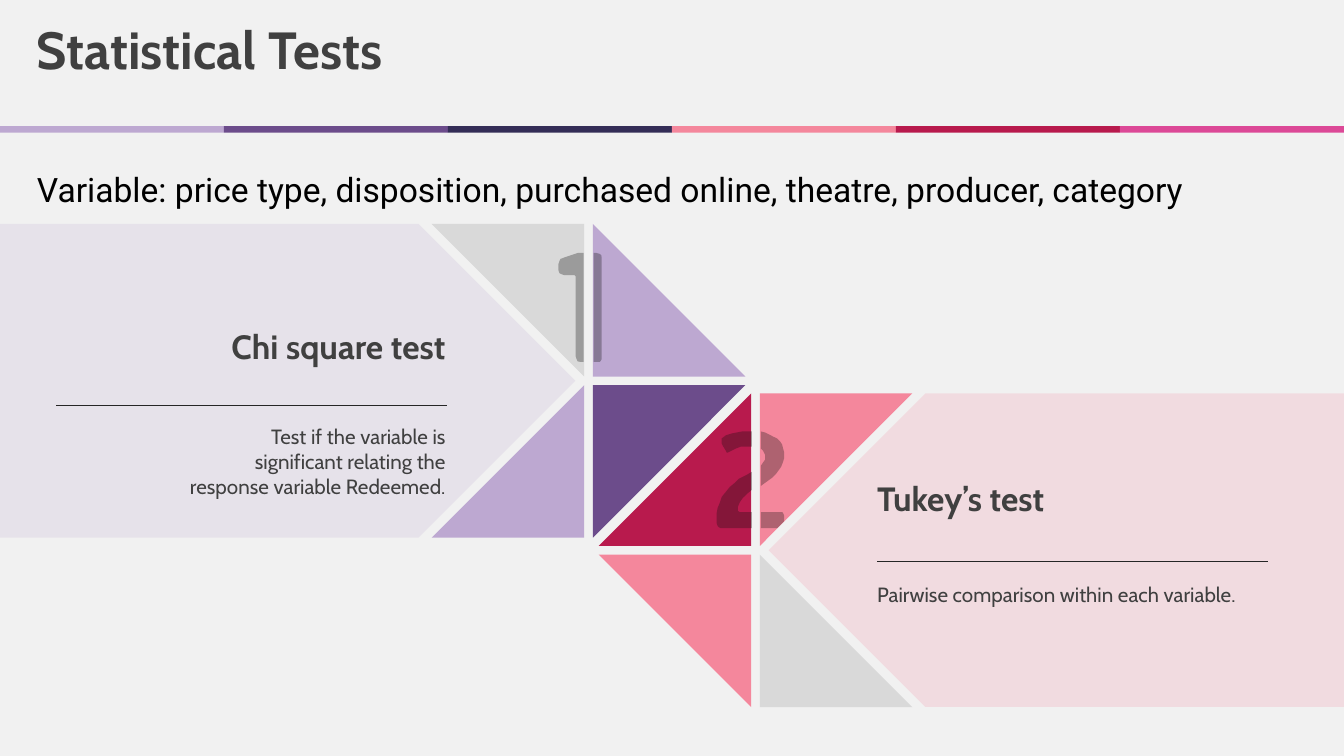
from lxml import etree
from pptx import Presentation
from pptx.dml.color import RGBColor
from pptx.enum import shapes, text
from pptx.oxml import ns
from pptx.util import Pt

LILAC, PURPLE, NAVY = "BDA8D1", "6C4C8B", "342D57"
PINK, CRIMSON, MAGENTA = "F4879C", "B81A4D", "DC4997"
GREY, INK, RULE, DIGIT = "D9D9D9", "404040", "262626", "0D0D0D"
PAPER = "F1F1F1"

WIDTH, HEIGHT = 960, 540
SIDE, GAP = 109, 6.1  # triangle legs and the space between them
TOP_LEFT, TOP_RIGHT, BOTTOM_RIGHT, BOTTOM_LEFT = range(4)

# Each numeral is split by the gap between the triangles behind it.
NUMERAL_ONE = [
    [(416.9, 180.7), (412.6, 180.7), (403.9, 183.6), (400.3, 185), (399.6, 186.5),
     (398.9, 188.6), (398.9, 193), (399.6, 195.1), (401, 195.8), (403.2, 196.6),
     (410.4, 196.6), (411.1, 197.3), (411.1, 254.2), (411.8, 256.3),
     (412.6, 258.1), (414.7, 258.5), (416.9, 258.5)],
    [(424.1, 180.7), (426.2, 180.7), (428.4, 181.4), (429.5, 182.2), (429.8, 184.3),
     (429.8, 256.3), (429.1, 257.8), (428.4, 258.5), (424.1, 258.5)],
]
NUMERAL_TWO = [
    [(555.8, 365.8), (543.6, 365.8), (543.6, 377.3), (555.1, 377.3), (560.2, 372.2),
     (560.2, 368.6), (559.4, 366.5), (558.7, 365.8)],
    [(543.6, 308.2), (543.6, 320.4), (545, 321.8), (546.5, 324.7), (546.5, 328.3),
     (545, 330.5), (543.6, 332.6), (543.6, 347), (546.5, 344.9), (551.5, 341.3),
     (554.4, 338.4), (558, 333.4), (559.4, 329.8), (560.2, 326.9), (560.2, 323.3),
     (559.4, 320.4), (558.7, 317.5), (557.3, 315.4), (555.1, 313.2),
     (552.2, 311.8), (549.4, 310.3), (546.5, 308.9)],
    [(537.1, 337), (533.5, 339.1), (527.8, 342), (524.9, 344.9), (521.3, 347.8),
     (518.4, 351.4), (515.5, 355), (514.1, 359.3), (512.6, 362.9), (511.9, 366.5),
     (511.9, 373.7), (512.6, 375.8), (513.4, 376.6), (514.8, 377.3),
     (537.1, 377.3), (537.1, 365.8), (528.5, 365.8), (527, 365), (527, 362.2),
     (528.5, 358.6), (530.6, 355.7), (533.5, 352.8), (537.1, 349.9)],
    [(537.1, 308.2), (529.9, 308.2), (522.7, 309.6), (518.4, 311), (515.5, 313.2),
     (515.5, 316.8), (516.2, 318.2), (518.4, 321.8), (519.1, 323.3),
     (519.8, 323.3), (525.6, 320.4), (529.2, 319), (537.1, 319)],
]


def color(value):
    return RGBColor.from_string(value)


def paint(shape, fill, opacity=100):
    shape.shadow.inherit = False
    shape.line.fill.background()
    shape.fill.solid()
    shape.fill.fore_color.rgb = color(fill)
    if opacity < 100:
        tone = shape.fill._xPr.find(".//" + ns.qn("a:srgbClr"))
        etree.SubElement(tone, ns.qn("a:alpha"), val=str(opacity * 1000))


def add_polygon(page, points, fill, opacity=100):
    start, *rest = [(Pt(x), Pt(y)) for x, y in points]
    builder = page.shapes.build_freeform(*start)
    builder.add_line_segments(rest, close=True)
    paint(builder.convert_to_shape(), fill, opacity)


def add_panel(page, edge, shoulder, tip, top, fill):
    """Draw a pale band running from the slide edge to a pointed tip."""
    half = 112
    bottom = top + 2 * half
    add_polygon(page, [(edge, top), (shoulder, top), (tip, top + half),
                       (shoulder, bottom), (edge, bottom)], fill, 20)


def add_pinwheel(page, left, top, triangles):
    """Draw a 2 x 2 grid of triangles, each a square lacking one corner."""
    for index, (missing, fill) in enumerate(triangles):
        row, column = divmod(index, 2)
        x, y = left + column * (SIDE + GAP), top + row * (SIDE + GAP)
        corners = [(x, y), (x + SIDE, y), (x + SIDE, y + SIDE), (x, y + SIDE)]
        del corners[missing]
        add_polygon(page, corners, fill)


def add_stripe(page, fills):
    width = WIDTH / len(fills)
    for index, fill in enumerate(fills):
        band = page.shapes.add_shape(shapes.MSO_SHAPE.RECTANGLE, Pt(index * width),
                                     Pt(90), Pt(width), Pt(4.8))
        paint(band, fill)


def add_text(page, words, place, size, font="Cabin", ink=INK, bold=False,
             align=text.PP_ALIGN.LEFT, anchor=text.MSO_ANCHOR.TOP, spacing=1.0):
    box = page.shapes.add_textbox(*map(Pt, place))
    frame = box.text_frame
    frame.margin_left = frame.margin_right = frame.margin_top = frame.margin_bottom = 0
    frame.word_wrap = True
    frame.vertical_anchor = anchor
    frame.text = words
    para = frame.paragraphs[0]
    para.alignment = align
    para.line_spacing = spacing
    span = para.runs[0]
    span.font.name = font
    span.font.size = Pt(size)
    span.font.bold = bold
    span.font.color.rgb = color(ink)


def add_rule(page, left, right, y):
    rule = page.shapes.add_connector(shapes.MSO_CONNECTOR.STRAIGHT,
                                     Pt(left), Pt(y), Pt(right), Pt(y))
    rule.line.color.rgb = color(RULE)
    rule.line.width = Pt(0.75)
    etree.SubElement(rule._element.spPr, ns.qn("a:effectLst"))


def main():
    deck = Presentation()
    deck.slide_width, deck.slide_height = Pt(WIDTH), Pt(HEIGHT)
    page = deck.slides.add_slide(deck.slide_layouts[6])
    page.background.fill.solid()
    page.background.fill.fore_color.rgb = color(PAPER)
    right, middle = text.PP_ALIGN.RIGHT, text.MSO_ANCHOR.MIDDLE

    add_stripe(page, [LILAC, PURPLE, NAVY, PINK, CRIMSON, MAGENTA])
    add_panel(page, WIDTH, 661, 549, 281, PINK)
    add_panel(page, 0, 299, 411, 160, LILAC)

    add_text(page, "Statistical Tests", (26.4, 12.2, 877, 44), 37.3, bold=True)
    add_text(page, "Variable: price type, disposition, purchased online, theatre, "
             "producer, category", (26.4, 91.4, 906.5, 58.3), 24, font="Roboto",
             ink="000000", anchor=middle, spacing=2.0)

    add_text(page, "Chi square test", (51.8, 236.2, 266.4, 26), 24, bold=True,
             align=right, spacing=0.9)
    add_text(page, "Test if the variable is significant relating the response "
             "variable Redeemed.", (131.8, 303.1, 186.5, 53.3), 14.7, align=right)
    add_rule(page, 40.3, 319, 289.4)

    add_text(page, "Tukey’s test", (626.6, 344.9, 294.5, 26), 24, bold=True,
             spacing=0.9)
    add_text(page, "Pairwise comparison within each variable.",
             (626.6, 415.4, 278.6, 18), 14.7, anchor=middle)
    add_rule(page, 626.6, 905.6, 401)

    add_pinwheel(page, 308.3, 160, [(BOTTOM_LEFT, GREY), (TOP_RIGHT, LILAC),
                                    (TOP_LEFT, LILAC), (BOTTOM_RIGHT, PURPLE)])
    add_pinwheel(page, 427.6, 281, [(TOP_LEFT, CRIMSON), (BOTTOM_RIGHT, PINK),
                                    (BOTTOM_LEFT, PINK), (TOP_RIGHT, GREY)])
    for piece in NUMERAL_ONE + NUMERAL_TWO:
        add_polygon(page, piece, DIGIT, 30)

    deck.save("out.pptx")


if __name__ == "__main__":
    main()
